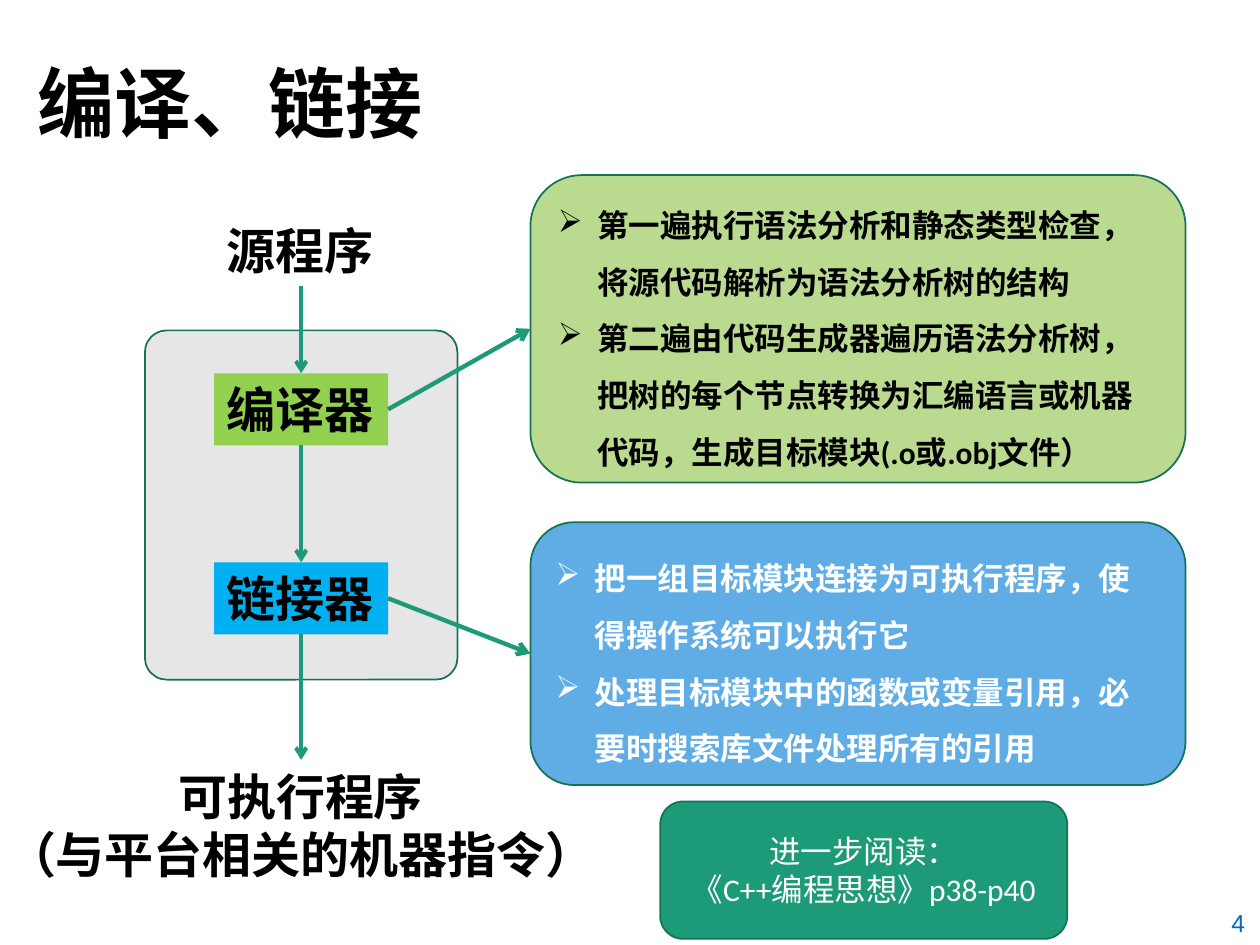
from lxml import etree
from pptx import Presentation
from pptx.dml.color import RGBColor
from pptx.enum.shapes import MSO_CONNECTOR as Connector, MSO_SHAPE as Shape
from pptx.enum.text import MSO_ANCHOR as Anchor, MSO_AUTO_SIZE as AutoSize, PP_ALIGN as Align
from pptx.oxml.ns import qn
from pptx.util import Pt

BLACK = RGBColor(0x00, 0x00, 0x00)
WHITE = RGBColor(0xFF, 0xFF, 0xFF)
GRAY = RGBColor(0xE7, 0xE6, 0xE6)
LIME = RGBColor(0x92, 0xD0, 0x50)
CYAN = RGBColor(0x00, 0xB0, 0xF0)
TEAL = RGBColor(0x1D, 0x9A, 0x78)
DARK_TEAL = RGBColor(0x15, 0x72, 0x59)
PALE_GREEN = RGBColor(0xB9, 0xDA, 0x8F)
SKY = RGBColor(0x5F, 0xAD, 0xE4)
LINK_BLUE = RGBColor(0x05, 0x63, 0xC1)

CJK_FONT = "Noto Sans CJK SC"
TITLE = {"name": CJK_FONT, "size": Pt(44), "bold": True}
LABEL = {"name": "Calibri", "size": Pt(28), "bold": True}
DETAIL = {"name": "Calibri", "size": Pt(18), "bold": True}
READING = {"name": "Calibri", "size": Pt(18), "bold": False}
NUMBER = {"name": "Arial", "size": Pt(14), "bold": False}

LABEL_LEFT, LABEL_WIDTH, LABEL_HEIGHT = 122.4, 99.4, 41.2
FLOW_X = LABEL_LEFT + LABEL_WIDTH / 2
SOURCE_TOP, COMPILER_TOP, LINKER_TOP, RESULT_TOP = 122.4, 213.3, 321.3, 434.2
DETAIL_LEFT, DETAIL_WIDTH = 303.1, 374.4


class SlideBuilder:
    def __init__(self, slide):
        self.slide = slide

    def set_text(self, shape, lines, style, color, align=Align.LEFT, anchor=Anchor.MIDDLE,
                 wrap=True, spacing=None, bullet=None):
        frame = shape.text_frame
        frame.word_wrap = wrap
        frame.vertical_anchor = anchor
        frame.auto_size = AutoSize.NONE if wrap else AutoSize.SHAPE_TO_FIT_TEXT
        frame.text = "\n".join(lines)
        for paragraph in frame.paragraphs:
            paragraph.alignment = align
            if spacing:
                paragraph.line_spacing = spacing
            if bullet:
                properties = paragraph._p.get_or_add_pPr()
                properties.set("marL", str(Pt(22.5)))
                properties.set("indent", str(-Pt(22.5)))
                etree.SubElement(properties, qn("a:buChar")).set("char", bullet)
            for run in paragraph.runs:
                for attribute, value in style.items():
                    setattr(run.font, attribute, value)
                run.font.color.rgb = color
                east_asian = etree.SubElement(run._r.get_or_add_rPr(), qn("a:ea"))
                east_asian.set("typeface", CJK_FONT)

    def text(self, box, lines, style, color=BLACK, **layout):
        shape = self.slide.shapes.add_textbox(*map(Pt, box))
        self.set_text(shape, lines, style, color, **layout)

    def panel(self, box, fill, line=DARK_TEAL, kind=Shape.ROUNDED_RECTANGLE, radius=None):
        shape = self.slide.shapes.add_shape(kind, *map(Pt, box))
        shape.shadow.inherit = False
        shape.fill.solid()
        shape.fill.fore_color.rgb = fill
        if line is None:
            shape.line.fill.background()
        else:
            shape.line.color.rgb = line
            shape.line.width = Pt(1)
        if radius is not None:
            shape.adjustments[0] = radius
        return shape

    def label(self, top, text, fill=None):
        box = (LABEL_LEFT, top, LABEL_WIDTH, LABEL_HEIGHT)
        layout = {"anchor": Anchor.TOP, "wrap": False}
        if fill is None:
            self.text(box, [text], LABEL, **layout)
        else:
            shape = self.panel(box, fill, line=None, kind=Shape.RECTANGLE)
            self.set_text(shape, [text], LABEL, BLACK, **layout)

    def detail(self, top, height, fill, color, lines):
        shape = self.panel((DETAIL_LEFT, top, DETAIL_WIDTH, height), fill)
        self.set_text(shape, lines, DETAIL, color, spacing=1.5, bullet="➢")

    def arrow(self, start, end, width=2.25):
        connector = self.slide.shapes.add_connector(
            Connector.STRAIGHT, *map(Pt, start + end))
        connector.line.color.rgb = TEAL
        connector.line.width = Pt(width)
        properties = connector._element.spPr
        etree.SubElement(properties.get_or_add_ln(), qn("a:tailEnd")).set("type", "arrow")
        etree.SubElement(properties, qn("a:effectLst"))


def main():
    presentation = Presentation()
    presentation.slide_width, presentation.slide_height = Pt(720), Pt(540)
    builder = SlideBuilder(presentation.slides.add_slide(presentation.slide_layouts[6]))

    builder.panel((82.8, 188.8, 178.6, 199.6), GRAY, radius=0.07)
    builder.text((14.4, 9.4, 620.6, 104.4), ["编译、链接"], TITLE, spacing=0.9)

    builder.label(SOURCE_TOP, "源程序")
    builder.label(COMPILER_TOP, "编译器", LIME)
    builder.label(LINKER_TOP, "链接器", CYAN)
    builder.text((-5, RESULT_TOP, 353.5, 75), ["可执行程序\v（与平台相关的机器指令）"], LABEL,
                 align=Align.CENTER, anchor=Anchor.TOP, wrap=False)

    stops = [SOURCE_TOP, COMPILER_TOP, LINKER_TOP, RESULT_TOP]
    for top, next_top in zip(stops, stops[1:]):
        builder.arrow((FLOW_X, top + LABEL_HEIGHT), (FLOW_X, next_top))

    builder.text((550.8, 514, 167.8, 26), ["4"], NUMBER, LINK_BLUE, align=Align.RIGHT)

    reading = builder.panel((377.3, 458, 232.6, 78.5), TEAL)
    builder.set_text(reading, ["进一步阅读：", "《C++编程思想》p38-p40"], READING, WHITE,
                     align=Align.CENTER)

    details = [
        (COMPILER_TOP, 100.1, 175.7, PALE_GREEN, BLACK, [
            "第一遍执行语法分析和静态类型检查，将源代码解析为语法分析树的结构",
            "第二遍由代码生成器遍历语法分析树，把树的每个节点转换为汇编语言或机器代码，"
            "生成目标模块(.o或.obj文件）"]),
        (LINKER_TOP, 298.4, 150.2, SKY, WHITE, [
            "把一组目标模块连接为可执行程序，使得操作系统可以执行它",
            "处理目标模块中的函数或变量引用，必要时搜索库文件处理所有的引用"]),
    ]
    for label_top, top, height, fill, color, lines in details:
        builder.detail(top, height, fill, color, lines)
        builder.arrow((LABEL_LEFT + LABEL_WIDTH, label_top + LABEL_HEIGHT / 2),
                      (DETAIL_LEFT, top + height / 2), 2.5)

    presentation.save("out.pptx")


if __name__ == "__main__":
    main()
